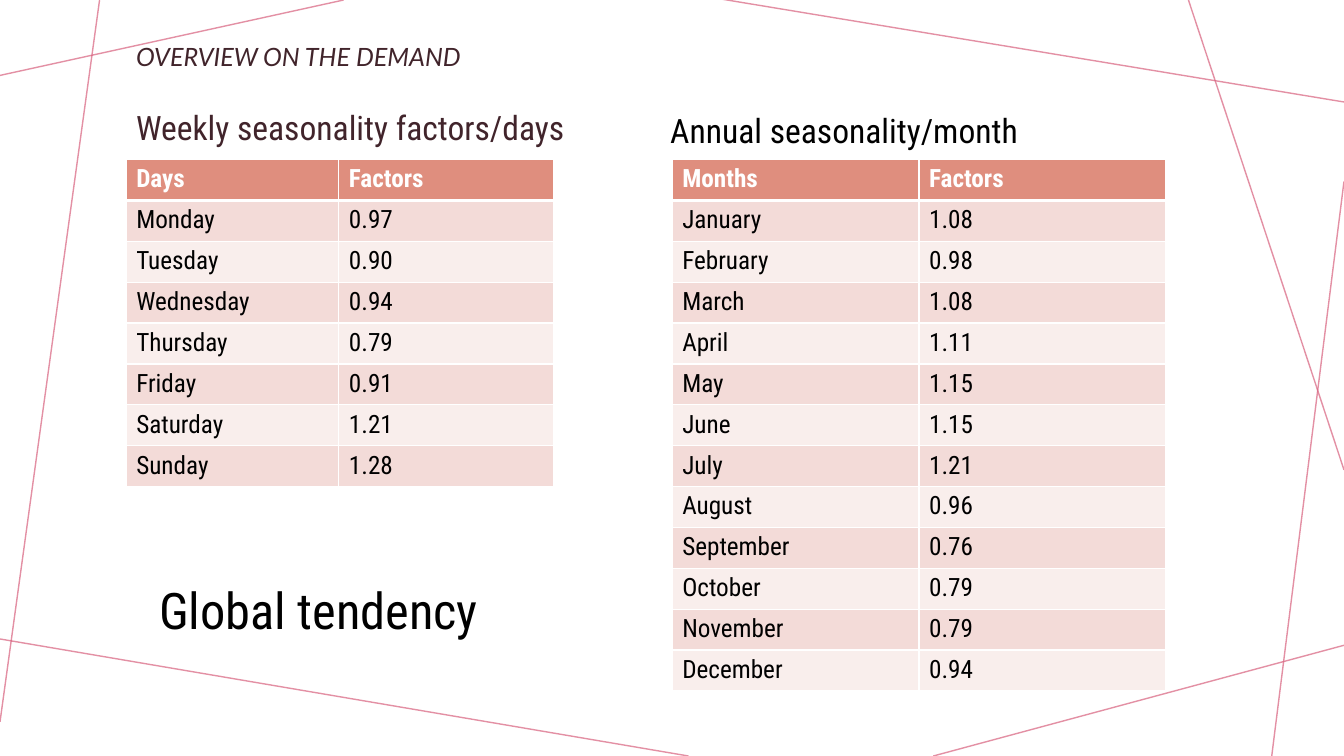
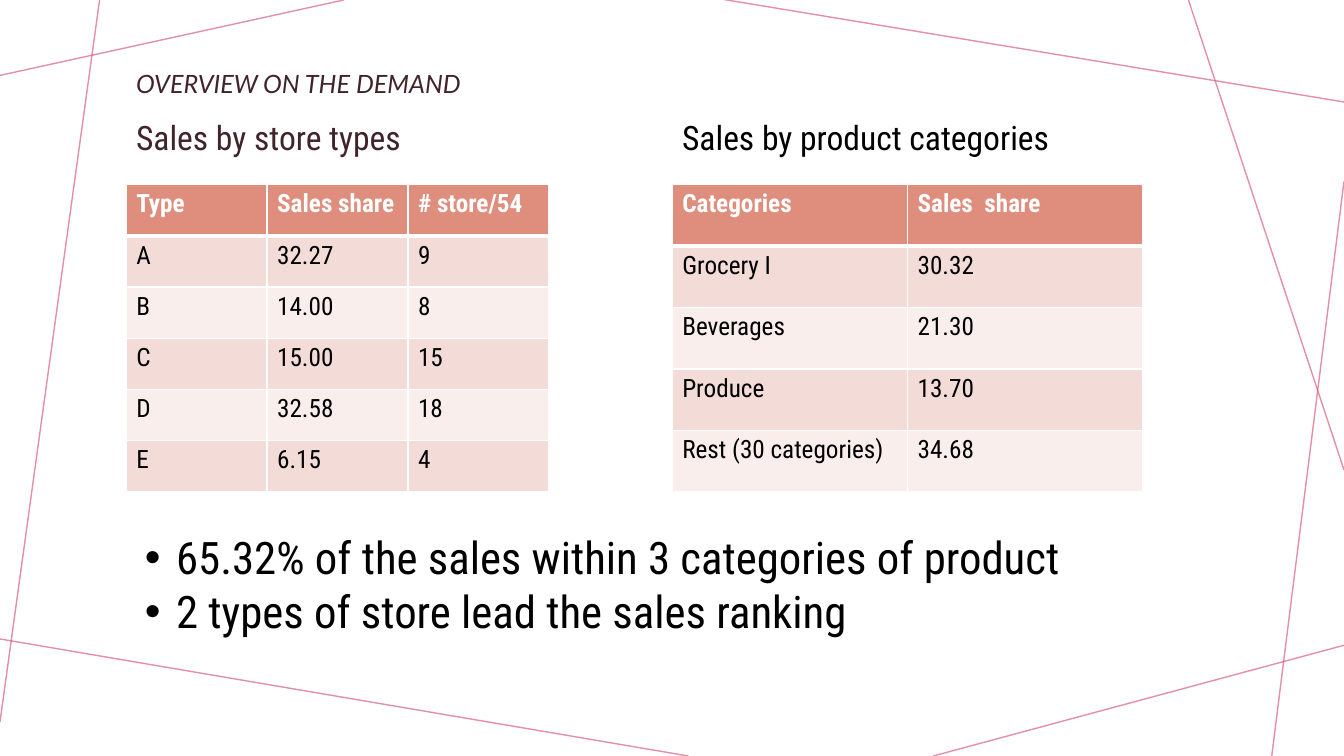
from dataclasses import dataclass

from lxml import etree
from pptx import Presentation
from pptx import util as u
from pptx.dml.color import RGBColor
from pptx.enum import shapes, text
from pptx.oxml.ns import qn


@dataclass(frozen=True)
class Theme:
    # Colours
    plum: str = "41242B"
    black: str = "000000"
    white: str = "FFFFFF"
    rose: str = "D8617E"
    head: str = "DF8E7E"
    odd: str = "F3DBD8"
    even: str = "F9EEEC"
    # Fonts
    sans: str = "Lato"
    slim: str = "Roboto Condensed"
    # Type sizes
    small: int = 18
    mid: int = 24
    large: int = 32
    huge: int = 36


# Slide size and shared positions, in cm
WIDE, HIGH = 33.87, 19.05
LEFT, RIGHT = 3.18, 16.94

# Ends of the decorative lines: x1, y1, x2, y2
RAYS = [
    (8.66, 0, 0, 1.9),
    (2.51, 0, 0, 18.19),
    (17.35, HIGH, -0.13, 16.08),
    (WIDE, 16.26, 23.52, HIGH),
    (WIDE, 4.57, 32.05, HIGH),
    (WIDE, 11.84, 29.95, 0),
    (WIDE, 2.57, 18.14, -0.03),
]

DAYS = [
    ("Days", "Factors"),
    ("Monday", "0.97"), ("Tuesday", "0.90"), ("Wednesday", "0.94"),
    ("Thursday", "0.79"), ("Friday", "0.91"), ("Saturday", "1.21"),
    ("Sunday", "1.28"),
]
MONTHS = [
    ("Months", "Factors"),
    ("January", "1.08"), ("February", "0.98"), ("March", "1.08"),
    ("April", "1.11"), ("May", "1.15"), ("June", "1.15"),
    ("July", "1.21"), ("August", "0.96"), ("September", "0.76"),
    ("October", "0.79"), ("November", "0.79"), ("December", "0.94"),
]
STORES = [
    ("Type", "Sales share", "# store/54"),
    ("A", "32.27", "9"), ("B", "14.00", "8"), ("C", "15.00", "15"),
    ("D", "32.58", "18"), ("E", "6.15", "4"),
]
GOODS = [
    ("Categories", "Sales  share"),
    ("Grocery I", "30.32"), ("Beverages", "21.30"), ("Produce", "13.70"),
    ("Rest (30 categories)", "34.68"),
]


def rgb(code):
    return RGBColor.from_string(code)


class Deck:
    def __init__(self, theme):
        self.theme = theme
        self.prs = Presentation()
        self.prs.slide_width = u.Cm(WIDE)
        self.prs.slide_height = u.Cm(HIGH)
        self.slide = None

    # New slide with the shared lines and title
    def page(self, title, top):
        self.slide = self.prs.slides.add_slide(self.prs.slide_layouts[6])
        for ray in RAYS:
            self.ray(*ray)
        th = self.theme
        box = self.text([title], LEFT, top, 27.5, 1.35, th.small, th.plum, th.sans)
        box.vertical_anchor = text.MSO_ANCHOR.MIDDLE
        para = box.paragraphs[0]
        para.font.italic = True
        para.line_spacing = 0.9

    # Thin translucent line without shadow
    def ray(self, *ends):
        line = self.slide.shapes.add_connector(
            shapes.MSO_CONNECTOR.STRAIGHT, *map(u.Cm, ends))
        line.line.width = u.Pt(1)
        line.line.color.rgb = rgb(self.theme.rose)
        props = line._element.spPr
        tint = next(props.iter(qn("a:srgbClr")))
        etree.SubElement(tint, qn("a:alpha"), val="70000")
        etree.SubElement(props, qn("a:effectLst"))

    # Text box, one paragraph per string
    def text(self, rows, x, y, w, h, size, color=None, face=None):
        box = self.slide.shapes.add_textbox(*map(u.Cm, (x, y, w, h))).text_frame
        box.word_wrap = True
        for i, row in enumerate(rows):
            para = box.add_paragraph() if i else box.paragraphs[0]
            para.text = row
            self.font(para, size, color or self.theme.black, face)
        return box

    def font(self, para, size, color, face=None):
        para.font.name = face or self.theme.slim
        para.font.size = u.Pt(size)
        para.font.color.rgb = rgb(color)

    # Bulleted text with a hanging indent
    def list(self, rows, *place):
        hang = u.Cm(0.79)
        for para in self.text(rows, *place, self.theme.large).paragraphs:
            props = para._p.get_or_add_pPr()
            props.set("marL", str(hang))
            props.set("indent", str(-hang))
            etree.SubElement(props, qn("a:buFont"), typeface="Arial")
            etree.SubElement(props, qn("a:buChar"), char="•")

    # Table with a coloured header and alternate row fills
    def table(self, rows, x, y, widths, high):
        th = self.theme
        grid = self.slide.shapes.add_table(
            len(rows), len(widths), u.Cm(x), u.Cm(y),
            u.Cm(sum(widths)), u.Cm(high * len(rows))).table
        for col, wide in zip(grid.columns, widths):
            col.width = u.Cm(wide)
        for r, row in enumerate(rows):
            grid.rows[r].height = u.Cm(high)
            fill = th.head if r == 0 else (th.even, th.odd)[r % 2]
            for c, word in enumerate(row):
                cell = grid.cell(r, c)
                self.edge(cell, top=3 if r == 1 else 1, low=3 if r == 0 else 1)
                cell.fill.solid()
                cell.fill.fore_color.rgb = rgb(fill)
                cell.text = word
                para = cell.text_frame.paragraphs[0]
                self.font(para, th.small, th.black if r else th.white)
                para.font.bold = r == 0

    # White cell borders, widths in points
    def edge(self, cell, top, low):
        props = cell._tc.get_or_add_tcPr()
        for side, wide in (("L", 1), ("R", 1), ("T", top), ("B", low)):
            line = etree.SubElement(props, qn("a:ln" + side), w=str(u.Pt(wide)))
            fill = etree.SubElement(line, qn("a:solidFill"))
            etree.SubElement(fill, qn("a:srgbClr"), val=self.theme.white)


def main():
    th = Theme()
    deck = Deck(th)
    title = "OVERVIEW ON THE DEMAND"

    # Seasonality
    deck.page(title, 0.79)
    deck.text(["Weekly seasonality factors/days"], LEFT, 2.57, 13, 1.27, th.mid, th.plum)
    deck.table(DAYS, LEFT, 4.02, (5.36, 5.41), 1.03)
    deck.text(["Annual seasonality/month"], 16.64, 2.64, 13.6, 1.27, th.mid)
    deck.table(MONTHS, RIGHT, 4.02, (6.22, 6.22), 1.03)
    deck.text(["Global tendency"], 3.76, 14.48, 9.12, 1.8, th.huge)

    # Sales
    deck.page(title, 1.47)
    deck.text(["Sales by store types"], LEFT, 2.82, 13, 1.27, th.mid, th.plum)
    deck.table(STORES, LEFT, 4.65, (3.55,) * 3, 1.29)
    deck.text(["Sales by product categories"], RIGHT, 2.82, 13.2, 1.27, th.mid)
    deck.table(GOODS, RIGHT, 4.65, (5.93, 5.93), 1.55)
    deck.list(["65.32% of the sales within 3 categories of product",
               "2 types of store lead the sales ranking"], 3.4, 13.23, 28.2, 3)

    deck.prs.save("out.pptx")


if __name__ == "__main__":
    main()
